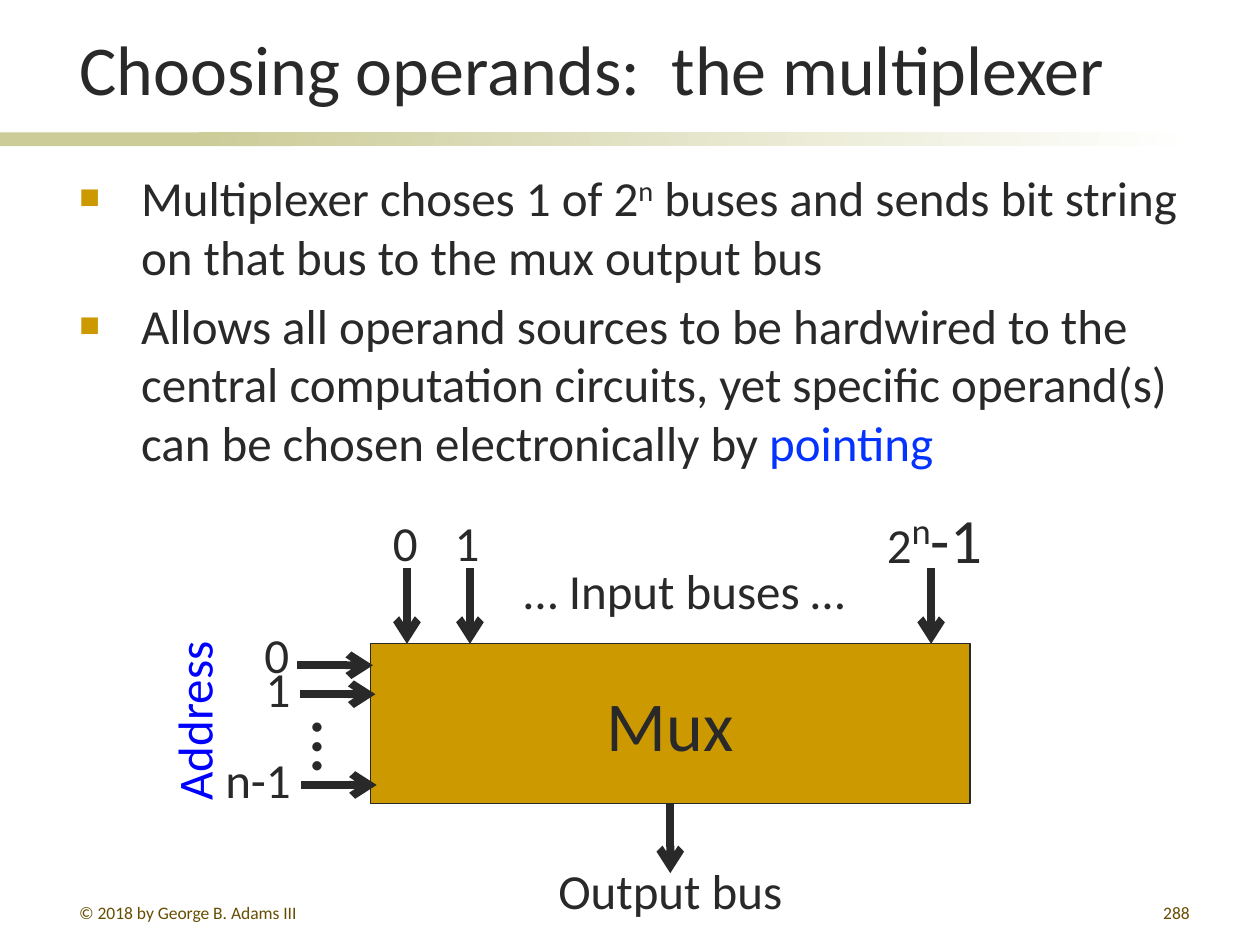
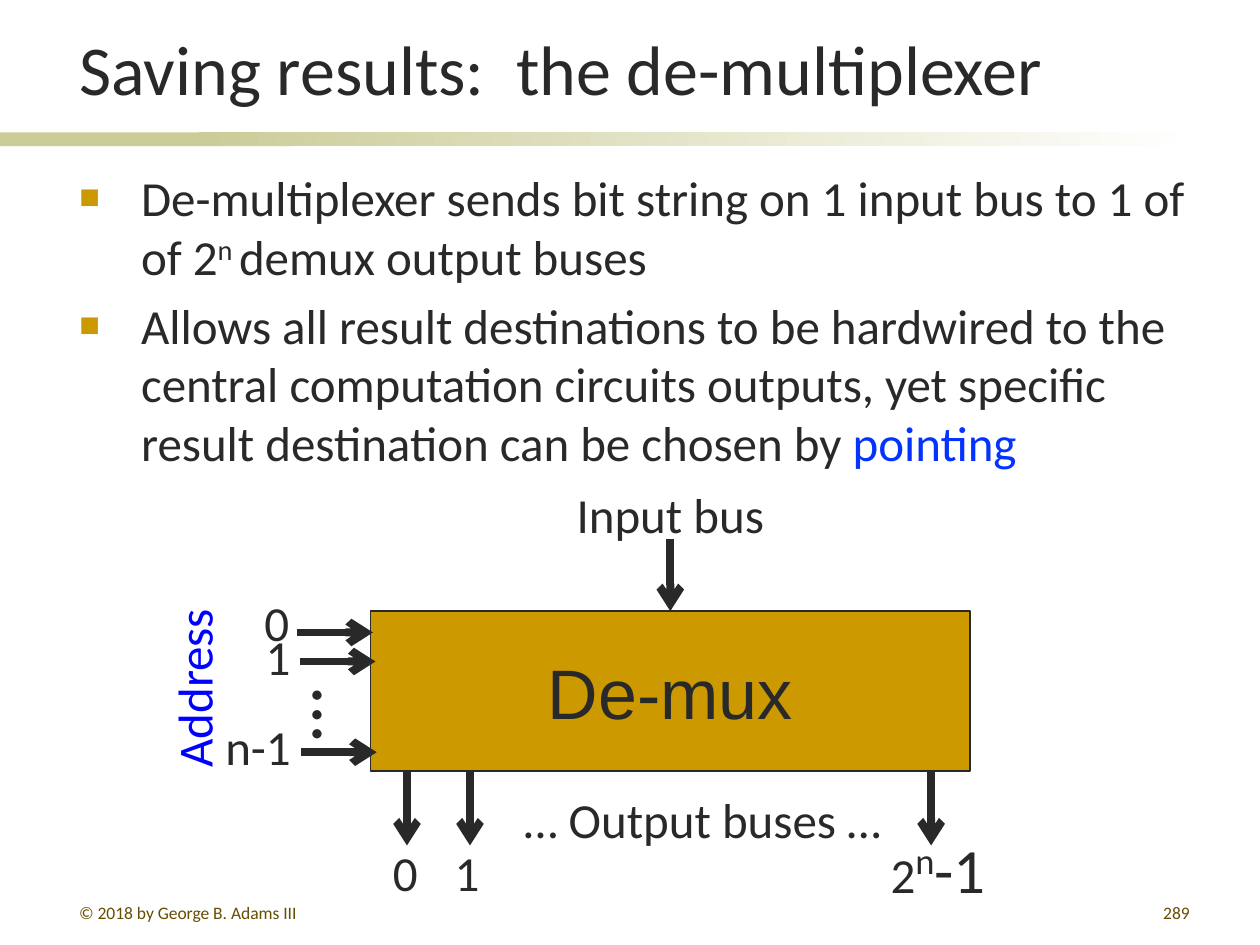
from lxml import etree
from pptx import Presentation
from pptx.dml.color import RGBColor
from pptx.enum.shapes import MSO_CONNECTOR, MSO_SHAPE
from pptx.enum.text import MSO_ANCHOR, MSO_AUTO_SIZE, PP_ALIGN
from pptx.oxml.ns import qn
from pptx.util import Inches, Pt

COLORS = {
    "ink": "292929",
    "band": "CCCC99",
    "paper": "FFFFFF",
    "gold": "CC9900",
    "footer": "664D00",
    "pointing": "0432FF",
    "address": "0000FF",
}
FONT = "Calibri"
BOX_LEFT, BOX_WIDTH, BOX_HEIGHT = 2.94, 4.76, 1.27
BOX_MIDDLE = BOX_LEFT + BOX_WIDTH / 2
BUS_XS = (3.23, 3.73, 7.39)
POWER_LABEL = [("2", {}), ("n", {"size": 36, "raised": True}), ("-1", {"size": 36})]


def color(name):
    return RGBColor.from_string(COLORS[name])


def inches(*lengths):
    return [Inches(length) for length in lengths]


def style_paragraph(paragraph, size, ink="ink", font=FONT, align=PP_ALIGN.LEFT):
    paragraph.font.name = font
    paragraph.font.size = Pt(size)
    paragraph.font.color.rgb = color(ink)
    paragraph.alignment = align


def add_runs(paragraph, runs):
    """Add (text, changes) pairs; changes may hold size, ink and raised."""
    for text, changes in runs:
        run = paragraph.add_run()
        run.text = text
        if "size" in changes:
            run.font.size = Pt(changes["size"])
        if "ink" in changes:
            run.font.color.rgb = color(changes["ink"])
        if changes.get("raised"):
            run._r.get_or_add_rPr().set("baseline", "30000")


def add_label(slide, runs, left, top, width, height=0.57, size=28, ink="ink",
              align=PP_ALIGN.LEFT, rotation=0, wrap=False):
    shape = slide.shapes.add_textbox(*inches(left, top, width, height))
    shape.rotation = rotation
    shape.text_frame.word_wrap = wrap
    paragraph = shape.text_frame.paragraphs[0]
    style_paragraph(paragraph, size, ink, align=align)
    add_runs(paragraph, [(runs, {})] if isinstance(runs, str) else runs)


def add_arrow(slide, start, end):
    connector = slide.shapes.add_connector(MSO_CONNECTOR.STRAIGHT, *inches(*start, *end))
    connector.line.color.rgb = color("ink")
    connector.line.width = Pt(4.5)
    etree.SubElement(connector.line._get_or_add_ln(), qn("a:tailEnd"), type="arrow")
    etree.SubElement(connector._element.spPr, qn("a:effectLst"))
    return connector


def add_rectangle(slide, left, top, width, height):
    shape = slide.shapes.add_shape(MSO_SHAPE.RECTANGLE, *inches(left, top, width, height))
    shape.shadow.inherit = False
    return shape


def add_bands(slide):
    solid = add_rectangle(slide, 0, 1.05, 2.33, 0.11)
    solid.fill.solid()
    solid.fill.fore_color.rgb = color("band")
    fading = add_rectangle(slide, 1.58, 1.05, 7.92, 0.11)
    fading.fill.gradient()
    fading.fill.gradient_angle = 0
    for stop, position, name in zip(fading.fill.gradient_stops, (0, 1), ("band", "paper")):
        stop.position = position
        stop.color.rgb = color(name)
    for band in (solid, fading):
        band.line.fill.background()


def place(shape, left, top, width, height, anchor):
    shape.left, shape.top, shape.width, shape.height = inches(left, top, width, height)
    shape.text_frame.auto_size = MSO_AUTO_SIZE.NONE
    shape.text_frame.vertical_anchor = anchor


def set_square_bullet(paragraph):
    properties = paragraph._p.get_or_add_pPr()
    properties.set("marL", str(Inches(0.49)))
    properties.set("indent", str(-Inches(0.49)))
    bullet_color = etree.Element(qn("a:buClr"))
    etree.SubElement(bullet_color, qn("a:srgbClr"), val=COLORS["gold"])
    bullet_size = etree.Element(qn("a:buSzPct"), val="70000")
    bullet_font = etree.Element(qn("a:buFont"), typeface="Arial")
    bullet = etree.Element(qn("a:buChar"), char="■")
    # Bullet settings stand before the paragraph's default font
    default_font = properties.find(qn("a:defRPr"))
    for element in (bullet_color, bullet_size, bullet_font, bullet):
        default_font.addprevious(element)


def add_content_slide(presentation, title, bullets, number):
    slide = presentation.slides.add_slide(presentation.slide_layouts[1])
    add_bands(slide)

    # Title and list
    heading, body = slide.shapes.title, slide.placeholders[1]
    place(heading, 0.53, 0.11, 9.01, 0.81, MSO_ANCHOR.BOTTOM)
    heading.text_frame.text = title
    style_paragraph(heading.text_frame.paragraphs[0], 40)
    place(body, 0.53, 1.28, 9.02, 5.39, MSO_ANCHOR.TOP)
    for index, runs in enumerate(bullets):
        frame = body.text_frame
        paragraph = frame.add_paragraph() if index else frame.paragraphs[0]
        style_paragraph(paragraph, 28)
        paragraph.space_before = Pt(5.6)
        set_square_bullet(paragraph)
        add_runs(paragraph, runs)

    # Footer
    footer = {"top": 7.11, "height": 0.21, "size": 10, "ink": "footer", "wrap": True}
    add_label(slide, "© 2018 by George B. Adams III", left=0.53, width=2.17, **footer)
    add_label(slide, str(number), left=7.46, width=2.08, align=PP_ALIGN.RIGHT, **footer)
    return slide


def add_unit_box(slide, name, top, font):
    box = add_rectangle(slide, BOX_LEFT, top, BOX_WIDTH, BOX_HEIGHT)
    box.fill.solid()
    box.fill.fore_color.rgb = color("gold")
    box.line.color.rgb = color("ink")
    box.line.width = Pt(0.75)
    box.text_frame.vertical_anchor = MSO_ANCHOR.MIDDLE
    box.text_frame.text = name
    style_paragraph(box.text_frame.paragraphs[0], 40, font=font, align=PP_ALIGN.CENTER)
    return box


def add_address_lines(slide, box_top):
    for left, offset in ((2.36, 0.17), (2.38, 0.4), (2.39, 1.12)):
        add_arrow(slide, (left, box_top + offset), (left + 0.6, box_top + offset))
    for text, left, offset, width in (("0", 2, -0.2, 0.4), ("1", 2.01, 0.07, 0.4),
                                      ("n-1", 1.69, 0.79, 0.73)):
        add_label(slide, text, left, box_top + offset, width)
    add_label(slide, "…", 1.95, box_top + 0.35, 0.72, 0.84, size=44, rotation=270)
    add_label(slide, "Address", 0.71, box_top + 0.23, 1.65, ink="address",
              rotation=270, wrap=True)


def add_numbered_buses(slide, arrow_top, label_top, power_left):
    for x in BUS_XS:
        add_arrow(slide, (x, arrow_top), (x, arrow_top + 0.6))
    add_label(slide, "0", 3.02, label_top, 0.4)
    add_label(slide, "1", 3.51, label_top, 0.4)
    add_label(slide, POWER_LABEL, power_left, label_top - 0.1, 0.99, 0.71)


def add_single_bus(slide, text, arrow_top, label_top, width):
    add_label(slide, text, BOX_MIDDLE - width / 2, label_top, width, align=PP_ALIGN.CENTER)
    return add_arrow(slide, (BOX_MIDDLE, arrow_top), (BOX_MIDDLE, arrow_top + 0.59))


def add_multiplexer_slide(presentation):
    slide = add_content_slide(presentation, "Choosing operands:  the multiplexer", [
        [("Multiplexer choses 1 of 2", {}), ("n", {"raised": True}),
         (" buses and sends bit string on that bus to the mux output bus", {})],
        [("Allows all operand sources to be hardwired to the central computation "
          "circuits, yet specific operand(s) can be chosen electronically by ", {}),
         ("pointing", {"ink": "pointing"})],
    ], 288)
    box_top = 5.11
    box = add_unit_box(slide, "Mux", box_top, FONT)
    add_numbered_buses(slide, arrow_top=4.51, label_top=4.02, power_left=6.94)
    add_label(slide, "… Input buses …", 4.06, 4.4, 2.81)
    add_address_lines(slide, box_top)
    output = add_single_bus(slide, "Output bus", arrow_top=6.34, label_top=6.78, width=2)
    output.begin_connect(box, 2)


def add_demultiplexer_slide(presentation):
    slide = add_content_slide(presentation, "Saving results:  the de-multiplexer", [
        [("De-multiplexer sends bit string on 1 input bus to 1 of of 2", {}),
         ("n ", {"raised": True}), ("demux output buses", {})],
        [("Allows all result destinations to be hardwired to the central computation "
          "circuits outputs, yet specific result destination can be chosen by ", {}),
         ("pointing", {"ink": "pointing"})],
    ], 289)
    box_top = 4.85
    box = add_unit_box(slide, "De-mux", box_top, "Arial")
    add_numbered_buses(slide, arrow_top=6.11, label_top=6.64, power_left=6.97)
    add_label(slide, "… Output buses …", 4.06, 6.22, 3.07)
    add_address_lines(slide, box_top)
    source = add_single_bus(slide, "Input bus", arrow_top=4.28, label_top=3.8, width=1.71)
    source.end_connect(box, 0)


def main():
    presentation = Presentation()
    presentation.slide_width, presentation.slide_height = inches(10, 7.5)
    add_multiplexer_slide(presentation)
    add_demultiplexer_slide(presentation)
    presentation.save("out.pptx")


if __name__ == "__main__":
    main()
